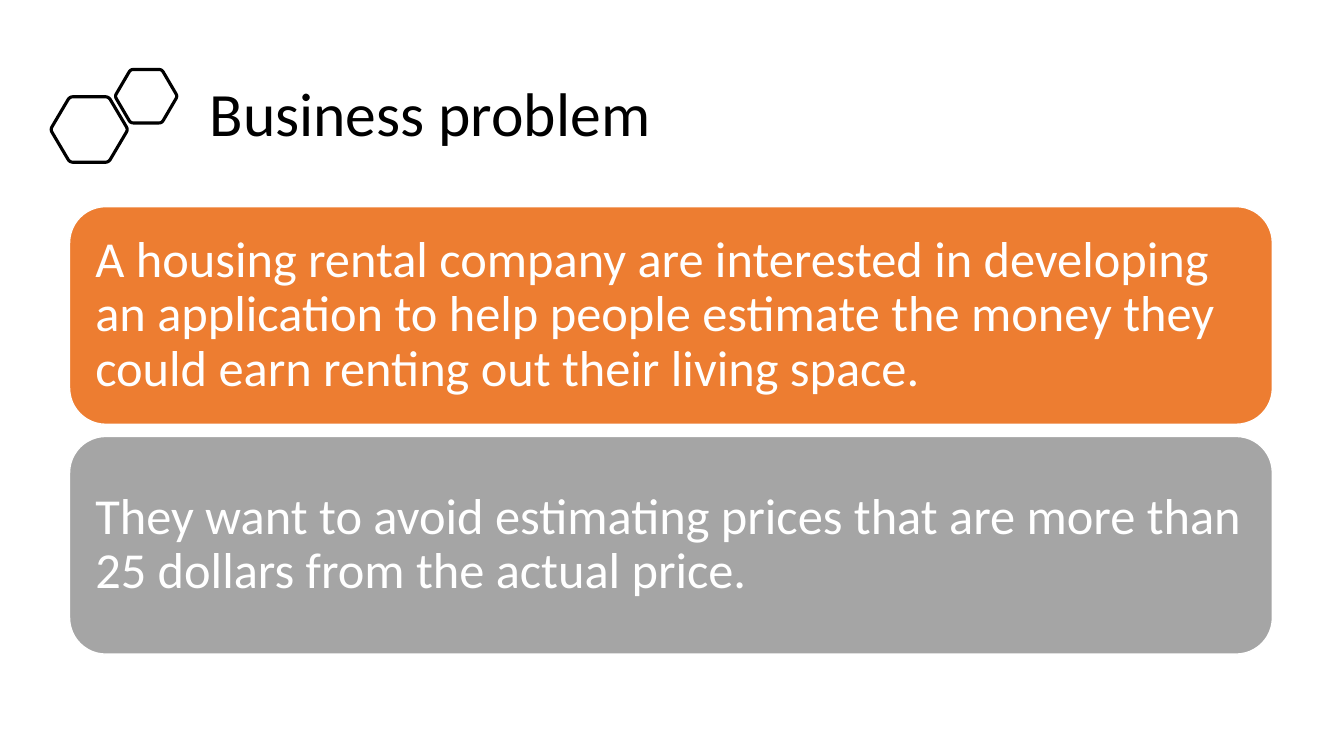
import pptx
import pptx.util
import pptx.dml.color
import pptx.enum.shapes
import pptx.enum.text

Inches = pptx.util.Inches
RGBColor = pptx.dml.color.RGBColor

BLACK = RGBColor(0x00, 0x00, 0x00)
WHITE = RGBColor(0xFF, 0xFF, 0xFF)
ORANGE = RGBColor(0xED, 0x7D, 0x31)
GRAY = RGBColor(0xA5, 0xA5, 0xA5)

CARDS = [
    ("A housing rental company are interested in developing an application to help "
     "people estimate the money they could earn renting out their living space.", ORANGE),
    ("They want to avoid estimating prices that are more than 25 dollars from the "
     "actual price.", GRAY),
]
HEXAGONS = [(0.5, 0.96, 0.77, 0.65), (1.14, 0.69, 0.62, 0.53)]
CORNER_CUT = 0.09
CORNER_STEPS = 6


def write_text(shape, text, size, color, side_inset=0.1, end_inset=0.05):
    frame = shape.text_frame
    frame.word_wrap = True
    frame.vertical_anchor = pptx.enum.text.MSO_ANCHOR.MIDDLE
    frame.margin_left = frame.margin_right = Inches(side_inset)
    frame.margin_top = frame.margin_bottom = Inches(end_inset)
    para = frame.paragraphs[0]
    para.alignment = pptx.enum.text.PP_ALIGN.LEFT
    para.line_spacing = 0.9
    span = para.add_run()
    span.text = text
    span.font.name = "Calibri"
    span.font.size = pptx.util.Pt(size)
    span.font.color.rgb = color


def along(start, end, share):
    return tuple(a + (b - a) * share for a, b in zip(start, end))


def rounded_outline(corners):
    points = []
    for index, corner in enumerate(corners):
        entry = along(corner, corners[index - 1], CORNER_CUT)
        leave = along(corner, corners[(index + 1) % len(corners)], CORNER_CUT)
        for step in range(CORNER_STEPS + 1):
            share = step / CORNER_STEPS
            points.append(along(along(entry, corner, share),
                                along(corner, leave, share), share))
    return [(Inches(x), Inches(y)) for x, y in points]


def add_hexagon(page, left, top, width, height):
    shares = [(0, 0.5), (0.25, 0), (0.75, 0), (1, 0.5), (0.75, 1), (0.25, 1)]
    corners = [(left + width * x, top + height * y) for x, y in shares]
    points = rounded_outline(corners)
    builder = page.shapes.build_freeform(*points[0])
    builder.add_line_segments(points[1:], close=True)
    hexagon = builder.convert_to_shape()
    hexagon.shadow.inherit = False
    hexagon.fill.background()
    hexagon.line.color.rgb = BLACK
    hexagon.line.width = pptx.util.Pt(2.25)


def add_heading(page, left, top, width, height):
    box = page.shapes.add_textbox(*map(Inches, (left, top, width, height)))
    write_text(box, "Business problem", size=44, color=BLACK)


def add_cards(page, left, top, width, height, gap=0.12):
    card_height = (height - gap * (len(CARDS) - 1)) / len(CARDS)
    for index, (text, color) in enumerate(CARDS):
        card_top = top + index * (card_height + gap)
        card = page.shapes.add_shape(
            pptx.enum.shapes.MSO_SHAPE.ROUNDED_RECTANGLE,
            *map(Inches, (left, card_top, width, card_height)))
        card.shadow.inherit = False
        card.fill.solid()
        card.fill.fore_color.rgb = color
        card.line.color.rgb = WHITE
        card.line.width = pptx.util.Pt(1)
        write_text(card, text, size=36, color=WHITE, side_inset=0.15, end_inset=0.15)


def main():
    deck = pptx.Presentation()
    deck.slide_width = Inches(13.33)
    deck.slide_height = Inches(7.5)
    page = deck.slides.add_slide(deck.slide_layouts[6])
    add_heading(page, 1.98, 0.57, 10.81, 1.17)
    for hexagon_box in HEXAGONS:
        add_hexagon(page, *hexagon_box)
    add_cards(page, 0.69, 2.05, 11.93, 4.44)
    deck.save("out.pptx")


if __name__ == "__main__":
    main()
